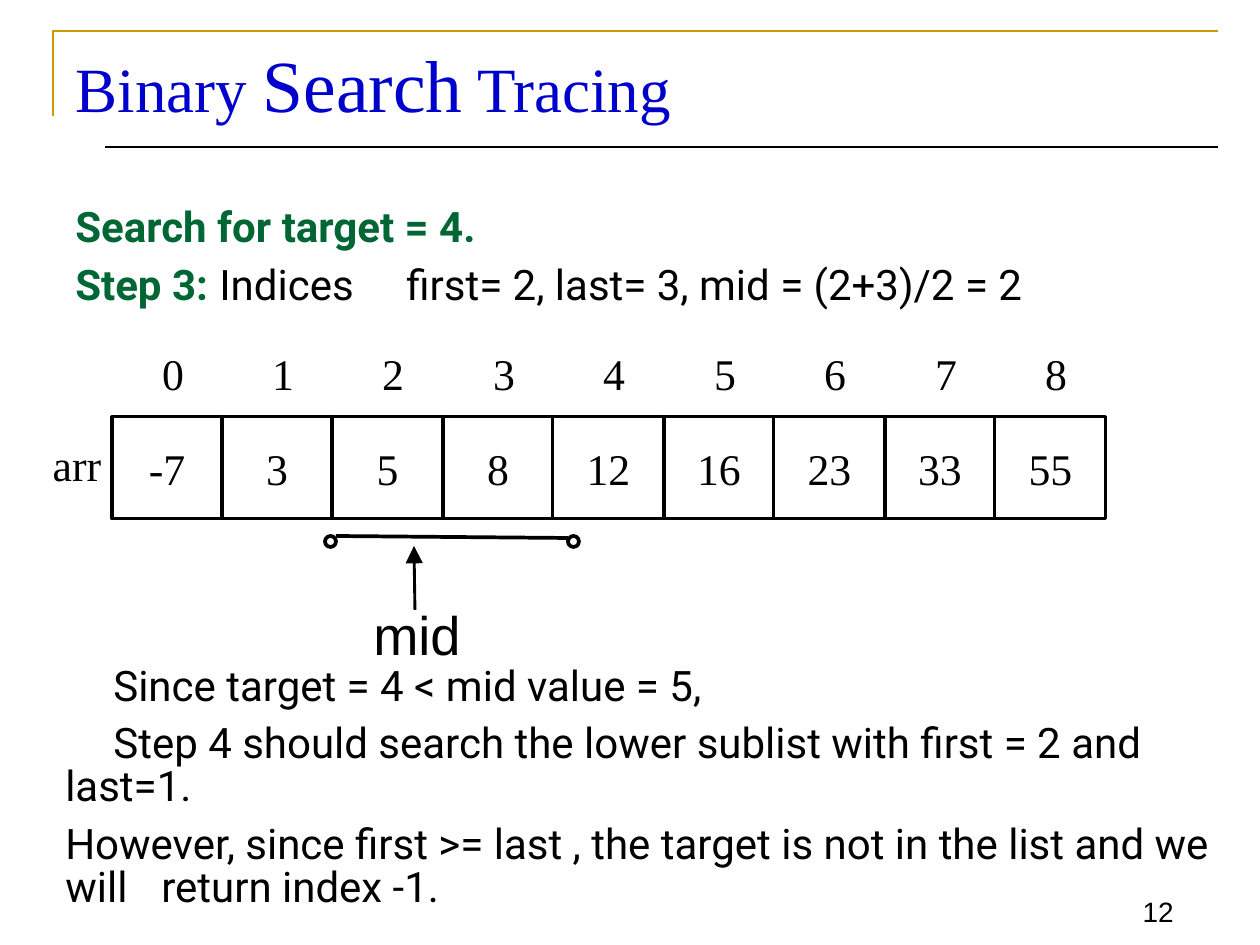
from lxml.etree import SubElement
from pptx import Presentation
from pptx.dml.color import RGBColor
from pptx.enum.shapes import MSO_CONNECTOR, MSO_SHAPE
from pptx.enum.text import MSO_ANCHOR, PP_ALIGN
from pptx.oxml.ns import qn
from pptx.util import Emu, Pt

EMU_PER_PX = 914400 / 126
COLORS = {"ink": "000000", "paper": "FFFFFF", "title": "0000CC",
          "accent": "006633", "gold": "CC9900"}
SERIF, SANS, BODY = "Times New Roman", "Arial", "Roboto"

VALUES = [-7, 3, 5, 8, 12, 16, 23, 33, 55]
ARRAY_LEFT, ARRAY_TOP, ARRAY_WIDTH, ARRAY_HEIGHT = 112, 417, 994, 102
INDEX_WIDTH, INDEX_SHIFT = 30, 6


def px(length):
    return Emu(round(length * EMU_PER_PX))


def rgb(name):
    return RGBColor.from_string(COLORS[name])


def write(frame, paragraphs, font=SERIF, size=25, color="ink", bold=False,
          align=PP_ALIGN.LEFT, anchor=MSO_ANCHOR.TOP, wrap=True, inset=None,
          line_spacing=None, space_before=0, tabs=()):
    """Fill a frame; each paragraph is a list of (text, format overrides)."""
    frame.word_wrap = wrap
    frame.vertical_anchor = anchor
    if inset is not None:
        frame.margin_left = frame.margin_right = px(inset)
        frame.margin_top = frame.margin_bottom = px(inset)
    for number, runs in enumerate(paragraphs):
        paragraph = frame.add_paragraph() if number else frame.paragraphs[0]
        if tabs:
            stops = SubElement(paragraph._p.get_or_add_pPr(), qn("a:tabLst"))
            for stop in tabs:
                SubElement(stops, qn("a:tab"), pos=str(px(stop)), algn="l")
        paragraph.alignment = align
        if line_spacing:
            paragraph.line_spacing = line_spacing
        if number and space_before:
            paragraph.space_before = Pt(space_before)
        for text, changes in runs:
            look = {"size": size, "color": color, "bold": bold, **changes}
            run = paragraph.add_run()
            run.text = text
            run.font.name = font
            run.font.size = Pt(look["size"])
            run.font.bold = look["bold"]
            run.font.color.rgb = rgb(look["color"])


def add_text(slide, box, paragraphs, **text_format):
    label = slide.shapes.add_textbox(*map(px, box))
    write(label.text_frame, paragraphs, **text_format)


def add_label(slide, box, text, **text_format):
    add_text(slide, box, [[(text, {})]], inset=0, wrap=False,
             align=PP_ALIGN.CENTER, **text_format)


def add_body(slide, box, paragraphs, tabs):
    add_text(slide, box, paragraphs, font=BODY, size=24, line_spacing=0.85,
             space_before=8.4, tabs=tabs)


def add_outlined(slide, preset, box, width, fill=None):
    shape = slide.shapes.add_shape(preset, *map(px, box))
    shape.shadow.inherit = False
    if fill:
        shape.fill.solid()
        shape.fill.fore_color.rgb = rgb(fill)
    else:
        shape.fill.background()
    shape.line.color.rgb = rgb("ink")
    shape.line.width = Pt(width)
    return shape


def add_line(slide, start, end, width, arrow=False):
    line = slide.shapes.add_connector(MSO_CONNECTOR.STRAIGHT,
                                      *map(px, (*start, *end)))
    line.line.color.rgb = rgb("ink")
    line.line.width = Pt(width)
    if arrow:
        SubElement(line.line._get_or_add_ln(), qn("a:tailEnd"),
                   type="triangle", w="lg", len="lg")
    SubElement(line._element.spPr, qn("a:effectLst"))


def add_frame(slide):
    """Draw the gold corner and the rule under the title."""
    builder = slide.shapes.build_freeform(px(53), px(116))
    builder.add_line_segments([(px(53), px(31)), (px(1218), px(31))],
                              close=False)
    corner = builder.convert_to_shape()
    corner.shadow.inherit = False
    corner.fill.background()
    corner.line.color.rgb = rgb("gold")
    corner.line.width = Pt(1.5)
    add_line(slide, (105, 147), (1218, 147), 0.75)


def add_title(slide):
    title = slide.shapes.title
    title.left, title.top, title.width, title.height = map(
        px, (63, 31, 1061, 105))
    write(title.text_frame,
          [[("Binary ", {}), ("Search", {"size": 42}), (" Tracing", {})]],
          size=36, color="title", anchor=MSO_ANCHOR.MIDDLE)


def add_array(slide):
    edges = [ARRAY_LEFT + ARRAY_WIDTH * i // len(VALUES)
             for i in range(len(VALUES) + 1)]
    for index, value in enumerate(VALUES):
        left, right = edges[index:index + 2]
        cell = add_outlined(slide, MSO_SHAPE.RECTANGLE,
                            (left, ARRAY_TOP, right - left, ARRAY_HEIGHT),
                            1.75, fill="paper")
        write(cell.text_frame, [[(str(value), {})]], inset=0, wrap=False,
              align=PP_ALIGN.CENTER, anchor=MSO_ANCHOR.MIDDLE)
        index_left = (left + right - INDEX_WIDTH) // 2 + INDEX_SHIFT
        add_label(slide, (index_left, 347, INDEX_WIDTH, 53), str(index))
    add_label(slide, (47, 438, 60, 53), "arr")


def add_search_range(slide):
    add_line(slide, (336, 536), (568, 538), 2.13)
    for left in (325, 568):
        add_outlined(slide, MSO_SHAPE.OVAL, (left, 536, 11, 11), 2.13)
    add_line(slide, (415, 610), (414, 546), 1.63, arrow=True)
    add_label(slide, (362, 601, 110, 66), "mid", font=SANS, size=31)


def main():
    deck = Presentation()
    deck.slide_width, deck.slide_height = px(1260), px(945)
    slide = deck.slides.add_slide(deck.slide_layouts[5])
    add_frame(slide)
    add_title(slide)
    heading = {"color": "accent", "bold": True}
    add_body(slide, (63, 202, 1144, 117), [
        [("Search for target = 4.", heading)],
        [("Step 3:", heading),
         ("\tIndices\tfirst= 2, last= 3, mid = (2+3)/2 = 2", {})],
    ], tabs=(144, 331))
    add_array(slide)
    add_search_range(slide)
    add_body(slide, (53, 661, 1187, 265), [
        [("\tSince target = 4 < mid value = 5,", {})],
        [("\tStep 4 should search the lower sublist with first = 2 "
          "and last=1.", {})],
        [("However, since first >= last , the target is not in the list "
          "and we will\treturn index -1.", {})],
    ], tabs=(48, 96))
    add_text(slide, (1103, 872, 83, 62), [[("12", {})]], font=SANS, size=16,
             align=PP_ALIGN.RIGHT, anchor=MSO_ANCHOR.BOTTOM)
    deck.save("out.pptx")


if __name__ == "__main__":
    main()
